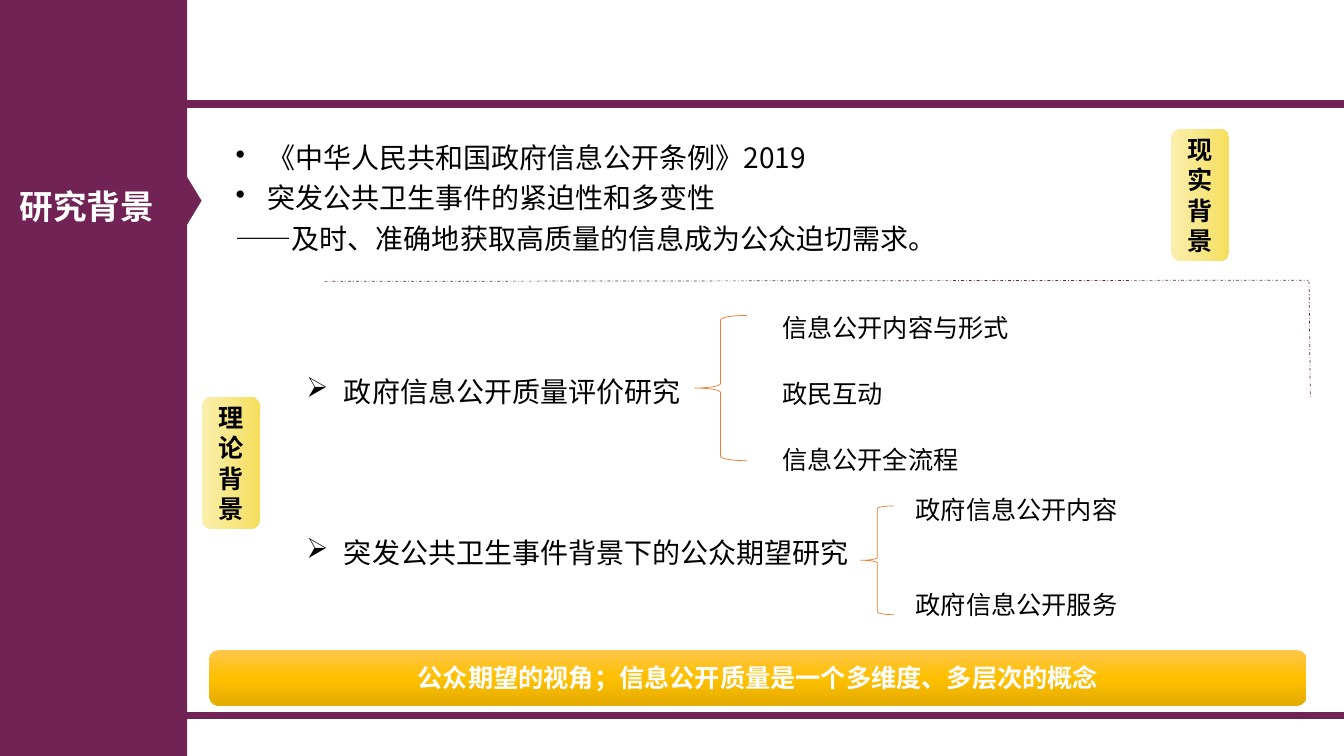
import copy
from dataclasses import dataclass

import pptx
import pptx.dml.color
import pptx.enum.dml
import pptx.enum.shapes
import pptx.enum.text
import pptx.oxml
import pptx.oxml.ns
import pptx.util
from pptx.util import Cm

RGBColor = pptx.dml.color.RGBColor
Shapes = pptx.enum.shapes.MSO_SHAPE
Align = pptx.enum.text.PP_ALIGN
Anchor = pptx.enum.text.MSO_ANCHOR

PLUM = RGBColor(0x70, 0x23, 0x54)
ORANGE = RGBColor(0xED, 0x7D, 0x31)
BLACK = RGBColor(0x00, 0x00, 0x00)
WHITE = RGBColor(0xFF, 0xFF, 0xFF)
YELLOWS = (RGBColor(0xFA, 0xEF, 0xAE), RGBColor(0xF8, 0xE7, 0x86), RGBColor(0xF5, 0xDE, 0x5D))
GOLDS = (RGBColor(0xFF, 0xC6, 0x4B), RGBColor(0xFF, 0xC0, 0x00), RGBColor(0xE3, 0xAB, 0x00))
FONT = "Noto Sans CJK SC"


@dataclass
class Box:
    left: float
    top: float
    width: float
    height: float

    def lengths(self) -> tuple:
        return Cm(self.left), Cm(self.top), Cm(self.width), Cm(self.height)


@dataclass
class Line:
    text: str
    size: int = 18
    color: RGBColor = BLACK
    bold: bool = False
    align: Align = Align.LEFT
    spacing: float = 1.0
    before: float = 0
    bullet: str = ""
    indent: float = 0


@dataclass
class Branch:
    brace: Box
    left: float
    top: float
    step: float
    labels: tuple


def add_element(parent, tag: str, **attributes: str):
    element = pptx.oxml.parse_xml(f"<a:{tag} {pptx.oxml.ns.nsdecls('a')}/>")
    for name, value in attributes.items():
        element.set(name, value)
    parent.append(element)


def write(frame, lines: list) -> None:
    frame.word_wrap = True
    for index, line in enumerate(lines):
        paragraph = frame.add_paragraph() if index else frame.paragraphs[0]
        paragraph.text = line.text
        paragraph.alignment = line.align
        paragraph.line_spacing = line.spacing
        paragraph.space_before = pptx.util.Pt(line.before)
        properties = paragraph._p.get_or_add_pPr()
        if line.bullet:
            properties.set("marL", str(Cm(line.indent)))
            properties.set("indent", str(-Cm(line.indent)))
            add_element(properties, "buChar", char=line.bullet)
        font = paragraph.font
        font.size = pptx.util.Pt(line.size)
        font.bold = line.bold
        font.color.rgb = line.color
        font.name = FONT
        add_element(properties.find(pptx.oxml.ns.qn("a:defRPr")), "ea", typeface=FONT)


def add_text(slide, box: Box, lines: list) -> None:
    write(slide.shapes.add_textbox(*box.lengths()).text_frame, lines)


def add_block(slide, kind: Shapes, box: Box):
    shape = slide.shapes.add_shape(kind, *box.lengths())
    shape.shadow.inherit = False
    shape.fill.solid()
    shape.fill.fore_color.rgb = PLUM
    shape.line.fill.background()
    return shape


def add_panel(slide, box: Box, colors: tuple, angle: int, line: Line) -> None:
    shape = add_block(slide, Shapes.ROUNDED_RECTANGLE, box)
    shape.fill.gradient()
    shape.fill.gradient_angle = angle
    stop_list = shape.fill._fill._gradFill.gsLst
    stop_list.append(copy.deepcopy(stop_list[-1]))
    for stop, color, position in zip(shape.fill.gradient_stops, colors, (0, 0.5, 1)):
        stop.color.rgb = color
        stop.position = position
    shape.text_frame.vertical_anchor = Anchor.MIDDLE
    write(shape.text_frame, [line])


def add_dashed_line(slide, start: tuple, end: tuple) -> None:
    connector = slide.shapes.add_connector(
        pptx.enum.shapes.MSO_CONNECTOR.STRAIGHT, *map(Cm, start + end))
    connector.line.color.rgb = PLUM
    connector.line.width = pptx.util.Pt(0.5)
    connector.line.dash_style = pptx.enum.dml.MSO_LINE.DASH_DOT
    add_element(connector._element.spPr, "effectLst")


def add_branch(slide, branch: Branch) -> None:
    brace = add_block(slide, Shapes.LEFT_BRACE, branch.brace)
    brace.fill.background()
    brace.line.color.rgb = ORANGE
    brace.line.width = pptx.util.Pt(0.5)
    for index, label in enumerate(branch.labels):
        add_text(slide, Box(branch.left, branch.top + index * branch.step, 7.92, 1.02), [Line(label)])


presentation = pptx.Presentation()
presentation.slide_width = Cm(33.87)
presentation.slide_height = Cm(19.05)
slide = presentation.slides.add_slide(presentation.slide_layouts[6])

for band_top in (2.51, 17.93):
    add_block(slide, Shapes.FLOWCHART_PROCESS, Box(0, band_top, 33.87, 0.2))
add_block(slide, Shapes.RECTANGLE, Box(-0.05, 0, 4.77, 19.05))
add_block(slide, Shapes.PENTAGON, Box(4.34, 4.45, 0.74, 1.22))
add_text(slide, Box(0.25, 3.94, 4.17, 1.55), [Line("研究背景", 24, WHITE, True, spacing=1.6)])

add_text(slide, Box(5.69, 3.25, 25.3, 3.33), [
    Line("《中华人民共和国政府信息公开条例》2019", 20, spacing=1.2, bullet="•", indent=0.79),
    Line("突发公共卫生事件的紧迫性和多变性", 20, spacing=1.2, bullet="•", indent=0.79),
    Line("——及时、准确地获取高质量的信息成为公众迫切需求。", 20, spacing=1.2),
])

add_dashed_line(slide, (8.18, 7.09), (32.97, 7.06))
add_dashed_line(slide, (32.99, 7.09), (33.02, 10))

for name, left, top in (("现实背景", 29.51, 3.25), ("理论背景", 5.08, 10)):
    add_panel(slide, Box(left, top, 1.47, 3.33), YELLOWS, 0, Line(name, bold=True, align=Align.CENTER))

add_text(slide, Box(7.47, 9.3, 16.23, 6.25), [
    Line("政府信息公开质量评价研究", 20, bullet="➢", indent=0.95),
    Line("突发公共卫生事件背景下的公众期望研究", 20, before=91, bullet="➢", indent=0.95),
])
for branch in (
    Branch(Box(17.5, 7.95, 1.32, 3.66), 19.46, 7.75, 1.66, ("信息公开内容与形式", "政民互动", "信息公开全流程")),
    Branch(Box(21.69, 12.75, 0.84, 2.74), 22.83, 12.32, 2.41, ("政府信息公开内容", "政府信息公开服务")),
):
    add_branch(slide, branch)

add_panel(slide, Box(5.28, 16.38, 27.64, 1.4), GOLDS, 270,
          Line("公众期望的视角；信息公开质量是一个多维度、多层次的概念", 18, WHITE, True, Align.CENTER))

presentation.save("out.pptx")
